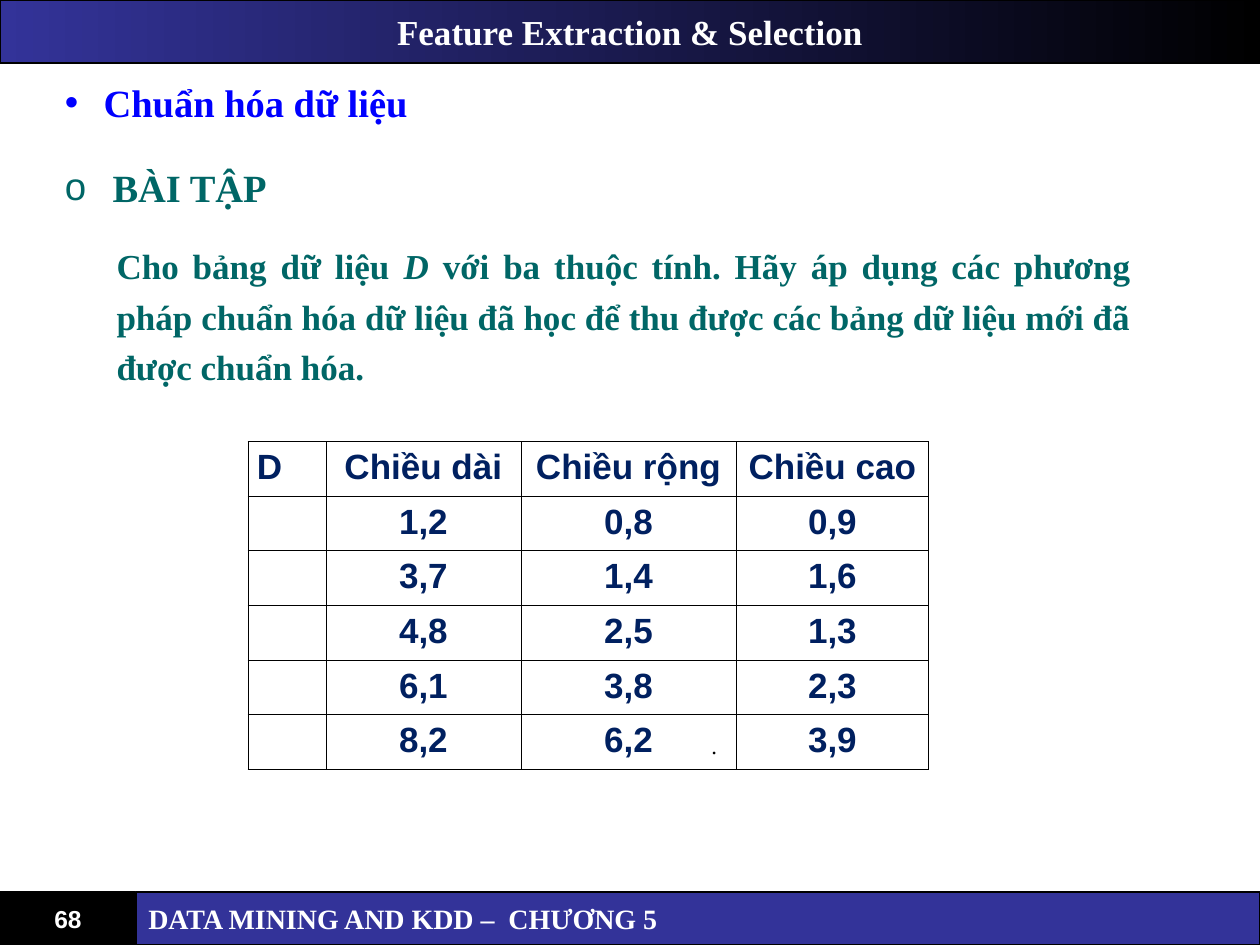
from collections import namedtuple

from lxml import etree
from pptx import Presentation
from pptx import util as u
from pptx.dml import color
from pptx.enum import shapes, text
from pptx.oxml import ns

COLORS = {"navy": "333399", "black": "000000", "white": "FFFFFF",
          "blue": "0000FF", "teal": "006666", "ink": "002060"}
SERIF, SANS = "Times New Roman", "Arial"
ALIGN, ANCHOR = text.PP_ALIGN, text.MSO_ANCHOR
Box = namedtuple("Box", "left top width height")

ROWS = [
    ["D", "Chiều dài", "Chiều rộng", "Chiều cao"],
    ["", "1,2", "0,8", "0,9"],
    ["", "3,7", "1,4", "1,6"],
    ["", "4,8", "2,5", "1,3"],
    ["", "6,1", "3,8", "2,3"],
    ["", "8,2", "6,2", "3,9"],
]
COLUMN_WIDTHS = [1.57, 3.93, 4.34, 3.88]


def rgb(name):
    """Return the named colour."""
    return color.RGBColor.from_string(COLORS[name])


def lengths(box):
    """Return the sides of a box as lengths."""
    return [u.Cm(side) for side in box]


def style(para, size, ink, font=SERIF, align=ALIGN.LEFT, bold=True):
    """Format a paragraph and all its runs."""
    para.alignment = align
    for span in para.runs:
        span.font.size = u.Pt(size)
        span.font.name = font
        span.font.bold = bold
        span.font.color.rgb = rgb(ink)


def outline(shape):
    """Give a bar its thin black edge."""
    shape.line.color.rgb = rgb("black")
    shape.line.width = u.Pt(0.75)


def add_title(page, box):
    """Turn the title placeholder into the gradient header bar."""
    title = page.shapes.title
    title.left, title.top, title.width, title.height = lengths(box)
    title.fill.gradient()
    title.fill.gradient_angle = 0
    for stop, name in zip(title.fill.gradient_stops, ("navy", "black")):
        stop.color.rgb = rgb(name)
    outline(title)
    frame = title.text_frame
    frame.text = "Feature Extraction & Selection"
    frame.auto_size = text.MSO_AUTO_SIZE.NONE
    frame.vertical_anchor = ANCHOR.MIDDLE
    style(frame.paragraphs[0], 20, "white", align=ALIGN.CENTER)


def add_bar(page, box, fill, words, **look):
    """Add a filled bar with one line of white text."""
    bar = page.shapes.add_shape(shapes.MSO_SHAPE.RECTANGLE, *lengths(box))
    bar.shadow.inherit = False
    bar.fill.solid()
    bar.fill.fore_color.rgb = rgb(fill)
    outline(bar)
    bar.text_frame.text = words
    bar.text_frame.vertical_anchor = ANCHOR.MIDDLE
    style(bar.text_frame.paragraphs[0], ink="white", **look)


def add_footer(page, box):
    """Add the page number and the course name side by side."""
    number_width = 2.74
    add_bar(page, box._replace(width=number_width), "black", "68",
            size=14, font=SANS, align=ALIGN.CENTER)
    course = box._replace(left=box.left + number_width,
                          width=box.width - number_width)
    add_bar(page, course, "navy", "DATA MINING AND KDD –  CHƯƠNG 5", size=16)


def add_bullet(para, mark, ink, indent):
    """Give a paragraph a coloured bullet and a hanging indent."""
    props = para._p.get_or_add_pPr()
    props.set("marL", str(u.Cm(indent)))
    props.set("indent", str(-u.Cm(indent)))
    tint = etree.SubElement(props, ns.qn("a:buClr"))
    etree.SubElement(tint, ns.qn("a:srgbClr"), val=COLORS[ink])
    etree.SubElement(props, ns.qn("a:buFont"), typeface=SANS)
    etree.SubElement(props, ns.qn("a:buChar"), char=mark)


def add_text(page, box, pieces, size, ink, spacing=1.0, bullet=None, **look):
    """Add a text box of one paragraph; every second piece is italic."""
    frame = page.shapes.add_textbox(*lengths(box)).text_frame
    frame.word_wrap = True
    para = frame.paragraphs[0]
    para.line_spacing = spacing
    if bullet:
        add_bullet(para, bullet[0], ink, bullet[1])
    for index, piece in enumerate(pieces):
        span = para.add_run()
        span.text = piece
        span.font.italic = index % 2 == 1
    style(para, size, ink, **look)


def add_exercise(page, box):
    """Add the topic, the exercise heading and its wording."""
    add_text(page, Box(box.left, box.top, box.width, 1.19),
             ["Chuẩn hóa dữ liệu"], 22, "blue", bullet=("•", 0.78))
    add_text(page, Box(box.left, box.top + 1.53, 19.89, 1.37),
             ["BÀI TẬP"], 22, "teal", spacing=1.2, bullet=("o", 0.96))
    add_text(page, Box(box.left + 1.04, box.top + 3.17, 20.95, 3.3),
             ["Cho bảng dữ liệu", " D ",
              "với ba thuộc tính. Hãy áp dụng các phương pháp chuẩn hóa dữ liệu "
              "đã học để thu được các bảng dữ liệu mới đã được chuẩn hóa."],
             20, "teal", spacing=1.2, align=ALIGN.JUSTIFY)


def add_borders(cell):
    """Draw a thin black line on each side of a cell."""
    props = cell._tc.get_or_add_tcPr()
    for index, side in enumerate(("lnL", "lnR", "lnT", "lnB")):
        line = etree.Element(ns.qn("a:" + side), w=str(u.Pt(0.45)))
        fill = etree.SubElement(line, ns.qn("a:solidFill"))
        etree.SubElement(fill, ns.qn("a:srgbClr"), val=COLORS["black"])
        props.insert(index, line)


def add_data_table(page, box):
    """Add the table of measurements."""
    table = page.shapes.add_table(len(ROWS), len(COLUMN_WIDTHS),
                                  *lengths(box)).table
    table.first_row = table.horz_banding = False
    for column, width in zip(table.columns, COLUMN_WIDTHS):
        column.width = u.Cm(width)
    for row, values in enumerate(ROWS):
        table.rows[row].height = u.Cm(box.height / len(ROWS))
        for column, value in enumerate(values):
            cell = table.cell(row, column)
            cell.margin_left = cell.margin_right = u.Cm(0.18)
            cell.fill.background()
            add_borders(cell)
            cell.text = value
            style(cell.text_frame.paragraphs[0], 20, "ink", SANS,
                  ALIGN.CENTER if column else ALIGN.JUSTIFY)


def main():
    """Build the slide and save it."""
    deck = Presentation()
    deck.slide_width, deck.slide_height = u.Cm(25.4), u.Cm(19.05)
    page = deck.slides.add_slide(deck.slide_layouts.get_by_name("Title Only"))
    add_title(page, Box(0, 0, 25.4, 1.27))
    add_footer(page, Box(0, 17.98, 25.4, 1.07))
    add_exercise(page, Box(1.06, 1.47, 23.29, 6.5))
    add_data_table(page, Box(5, 8.9, sum(COLUMN_WIDTHS), 6.6))
    add_text(page, Box(14.08, 14.63, 0.64, 0.8), ["."], 13, "black",
             align=ALIGN.CENTER, bold=False)
    deck.save("out.pptx")


if __name__ == "__main__":
    main()
